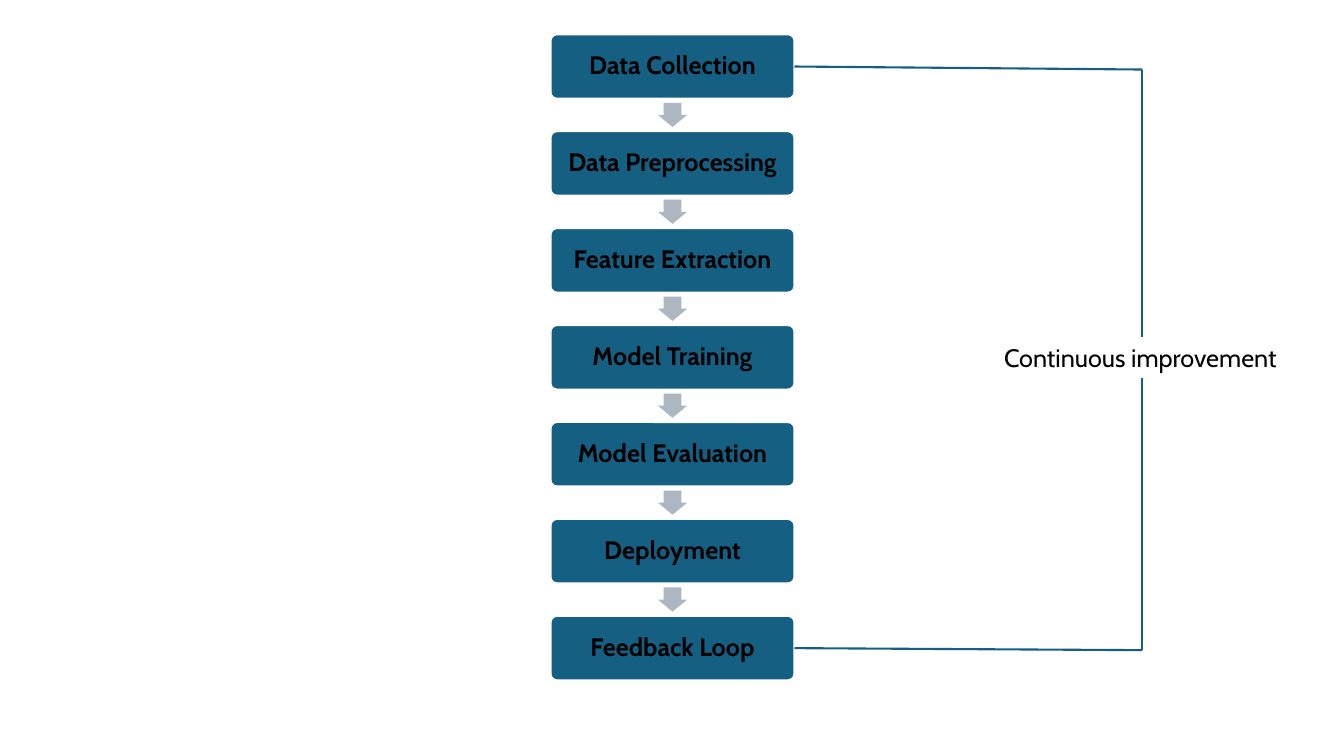
"""Build a slide showing a machine learning pipeline with a feedback loop."""
import pptx
import pptx.dml.color
import pptx.enum.shapes
import pptx.enum.text
import pptx.oxml.ns
import pptx.util
from lxml import etree

Inches = pptx.util.Inches
Pt = pptx.util.Pt
RGBColor = pptx.dml.color.RGBColor
Shape = pptx.enum.shapes.MSO_SHAPE
Align = pptx.enum.text.PP_ALIGN
Anchor = pptx.enum.text.MSO_ANCHOR

BLUE = RGBColor(0x15, 0x60, 0x82)
GREY = RGBColor(0xAC, 0xB7, 0xC1)
BLACK = RGBColor(0, 0, 0)
WHITE = RGBColor(0xFF, 0xFF, 0xFF)

STEPS = ["Data Collection", "Data Preprocessing", "Feature Extraction", "Model Training",
         "Model Evaluation", "Deployment", "Feedback Loop"]
FIRST_TOP, LAST_TOP = 0.34, 6.11
STEP_PITCH = (LAST_TOP - FIRST_TOP) / (len(STEPS) - 1)
STEP_LEFT, STEP_WIDTH, STEP_HEIGHT = 5.46, 2.42, 0.64
ARROW_WIDTH, ARROW_HEIGHT, ARROW_OFFSET = 0.29, 0.24, 0.68
LOOP_X, LOOP_TOP, LOOP_BOTTOM = 11.33, 0.69, 6.45


class FlowPage:
    """Draws styled flow elements on one slide."""

    font = "Cabin"
    size = Pt(18)
    line_width = Pt(1.5)

    def __init__(self, page):
        self.page = page

    def shape(self, kind, left, top, width, height, fill, adjustments=()):
        box = self.page.shapes.add_shape(
            kind, Inches(left), Inches(top), Inches(width), Inches(height))
        box.shadow.inherit = False
        box.fill.solid()
        box.fill.fore_color.rgb = fill
        box.line.fill.background()
        for index, value in enumerate(adjustments):
            box.adjustments[index] = value
        return box

    def outline(self, box, width):
        box.line.color.rgb = WHITE
        box.line.width = width

    def set_text(self, box, text, align, bold=False):
        frame = box.text_frame
        frame.text = text
        frame.word_wrap = True
        frame.vertical_anchor = Anchor.MIDDLE
        para = frame.paragraphs[0]
        para.alignment = align
        for span in para.runs:
            span.font.name = self.font
            span.font.size = self.size
            span.font.bold = bold
            span.font.color.rgb = BLACK

    def step(self, text, top):
        box = self.shape(Shape.ROUNDED_RECTANGLE, STEP_LEFT, top,
                         STEP_WIDTH, STEP_HEIGHT, BLUE, [0.1])
        self.outline(box, self.line_width)
        self.set_text(box, text, Align.CENTER, bold=True)
        frame = box.text_frame
        frame.margin_left = frame.margin_right = Inches(0.07)
        frame.margin_top = frame.margin_bottom = Inches(0.07)
        frame.paragraphs[0].line_spacing = 0.9
        return box

    def arrow(self, top):
        left = STEP_LEFT + (STEP_WIDTH - ARROW_WIDTH) / 2
        self.shape(Shape.DOWN_ARROW, left, top, ARROW_WIDTH, ARROW_HEIGHT, GREY, [0.6, 0.5])

    def line(self, start, end, source=None):
        connector = self.page.shapes.add_connector(
            pptx.enum.shapes.MSO_CONNECTOR.STRAIGHT, *map(Inches, start + end))
        connector.line.color.rgb = BLUE
        connector.line.width = self.line_width
        etree.SubElement(connector._element.spPr, pptx.oxml.ns.qn("a:effectLst"))
        if source is not None:
            connector.begin_connect(source, 3)

    def label(self, text, left, top, width, height):
        box = self.shape(Shape.RECTANGLE, left, top, width, height, WHITE)
        self.outline(box, Pt(0.75))
        self.set_text(box, text, Align.LEFT)


def main():
    deck = pptx.Presentation()
    deck.slide_width, deck.slide_height = Inches(13.33), Inches(7.5)
    flow = FlowPage(deck.slides.add_slide(deck.slide_layouts[6]))

    boxes = []
    for index, text in enumerate(STEPS):
        top = FIRST_TOP + index * STEP_PITCH
        boxes.append(flow.step(text, top))
        if index < len(STEPS) - 1:
            flow.arrow(top + ARROW_OFFSET)

    side = STEP_LEFT + STEP_WIDTH
    for box, top, loop_y in ((boxes[-1], LAST_TOP, LOOP_BOTTOM), (boxes[0], FIRST_TOP, LOOP_TOP)):
        flow.line((side, top + STEP_HEIGHT / 2), (LOOP_X, loop_y), box)
    flow.line((LOOP_X, LOOP_TOP), (LOOP_X, LOOP_BOTTOM))
    flow.label("Continuous improvement", 9.86, 3.35, 3.24, 0.4)

    deck.save("out.pptx")


if __name__ == "__main__":
    main()
